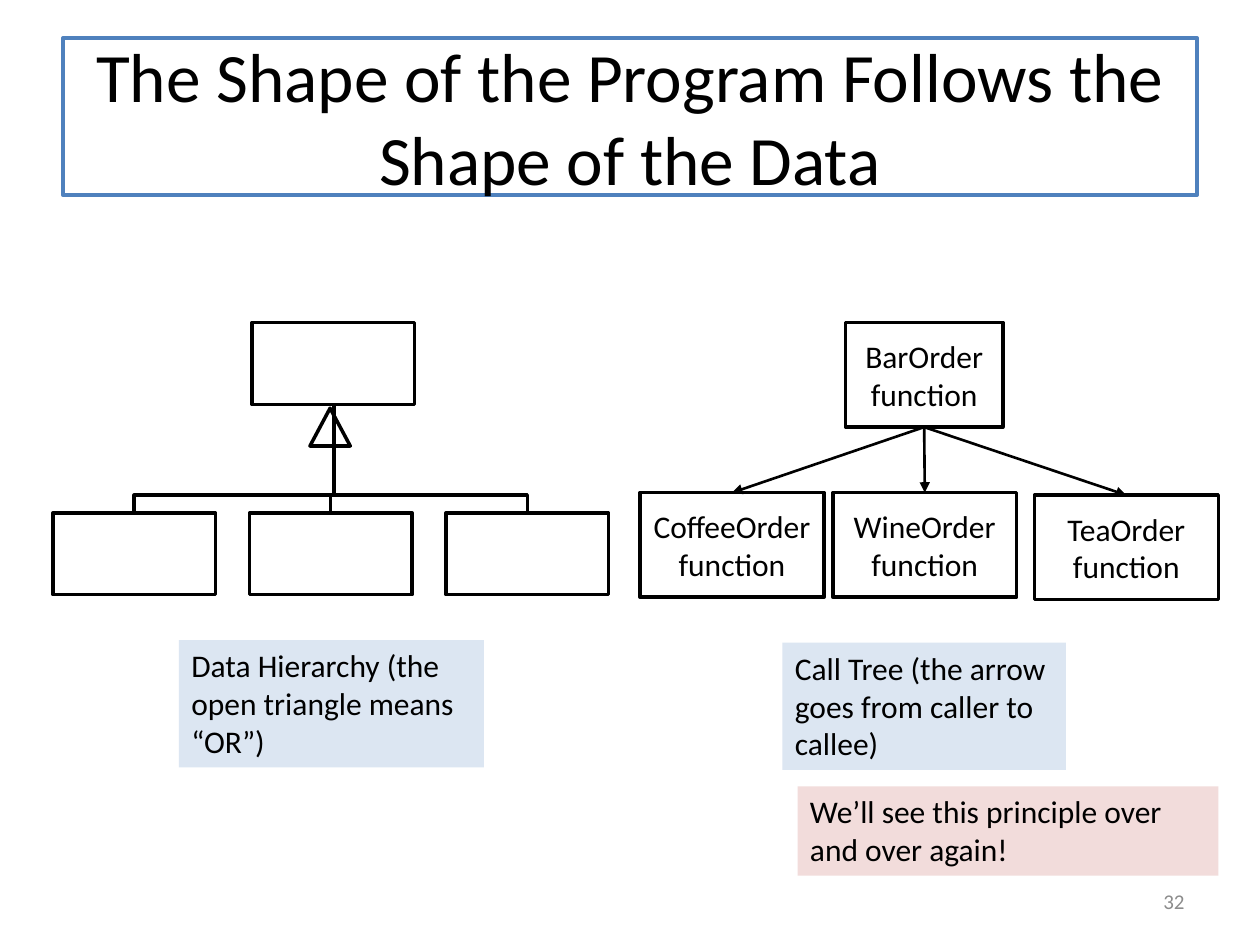
import pptx
import pptx.util
import pptx.dml.color
import pptx.enum.shapes
import pptx.enum.text
import pptx.oxml
import pptx.oxml.ns
from pptx.util import Inches

COLORS = {"ink": "000000", "paper": "FFFFFF", "title_line": "4F81BD",
          "note": "DCE6F2", "principle": "F2DCDB", "number": "8C8C8C"}
SHAPE = pptx.enum.shapes.MSO_SHAPE
ALIGN = pptx.enum.text.PP_ALIGN
ANCHOR = pptx.enum.text.MSO_ANCHOR


def rgb(name):
    return pptx.dml.color.RGBColor.from_string(COLORS[name])


def set_text(shape, text, size, align, anchor, color="ink"):
    frame = shape.text_frame
    frame.word_wrap = True
    frame.vertical_anchor = anchor
    frame.text = text
    paragraph = frame.paragraphs[0]
    paragraph.alignment = align
    font = paragraph.runs[0].font
    font.name = "Calibri"
    font.size = pptx.util.Pt(size)
    font.color.rgb = rgb(color)


def style(shape, fill=None, line=None):
    shape.shadow.inherit = False
    if fill:
        shape.fill.solid()
        shape.fill.fore_color.rgb = rgb(fill)
    else:
        shape.fill.background()
    if line:
        shape.line.color.rgb = rgb(line)
        shape.line.width = pptx.util.Pt(2)
    else:
        shape.line.fill.background()


def add_box(slide, left, top, width, height, fill="paper", line="ink",
            kind=SHAPE.RECTANGLE):
    box = slide.shapes.add_shape(kind, Inches(left), Inches(top),
                                 Inches(width), Inches(height))
    style(box, fill, line)
    return box


def add_function(slide, name, left, top, width):
    box = add_box(slide, left, top, width, 0.83)
    set_text(box, f"{name} function", 18, ALIGN.CENTER, ANCHOR.MIDDLE)
    return box


def add_note(slide, text, left, top, width, height, fill):
    note = add_box(slide, left, top, width, height, fill, None)
    set_text(note, text, 18, ALIGN.LEFT, ANCHOR.TOP)


def add_branch(slide, points):
    (start_x, start_y), *rest = [(Inches(x), Inches(y)) for x, y in points]
    builder = slide.shapes.build_freeform(start_x, start_y)
    builder.add_line_segments(rest, close=False)
    style(builder.convert_to_shape(), line="ink")


def add_call(slide, caller, callee):
    arrow = slide.shapes.add_connector(
        pptx.enum.shapes.MSO_CONNECTOR.STRAIGHT, 0, 0, 0, 0)
    arrow.begin_connect(caller, 2)
    arrow.end_connect(callee, 0)
    arrow.line.color.rgb = rgb("ink")
    arrow.line.width = pptx.util.Pt(1.5)
    line = arrow.line._get_or_add_ln()
    head = pptx.oxml.parse_xml(
        f'<a:tailEnd {pptx.oxml.ns.nsdecls("a")} type="triangle"/>')
    line.append(head)
    line.addnext(pptx.oxml.parse_xml(
        f'<a:effectLst {pptx.oxml.ns.nsdecls("a")}/>'))


def add_data_hierarchy(slide):
    width, height = 1.29, 0.65
    parent_left, parent_top = 2.0, 2.56
    child_lefts, child_top = (0.42, 1.98, 3.54), 4.07
    stem_x, stem_top, fork_y = 2.65, parent_top + height, 3.93
    for left in child_lefts:
        child_x = left + width / 2
        add_branch(slide, [(stem_x, stem_top), (stem_x, fork_y),
                           (child_x, fork_y), (child_x, child_top)])
    add_box(slide, parent_left, parent_top, width, height)
    for left in child_lefts:
        add_box(slide, left, child_top, width, height)
    # Open triangle meaning "OR"
    add_box(slide, 2.46, 3.24, 0.32, 0.3, fill=None,
            kind=SHAPE.ISOSCELES_TRIANGLE)


def add_call_tree(slide):
    caller = add_function(slide, "BarOrder", 6.71, 2.56, 1.25)
    for name, left, top in (("CoffeeOrder", 5.08, 3.91),
                            ("WineOrder", 6.61, 3.91),
                            ("TeaOrder", 8.21, 3.93)):
        callee = add_function(slide, name, left, top, 1.46)
        add_call(slide, caller, callee)


def main():
    deck = pptx.Presentation()
    deck.slide_width, deck.slide_height = Inches(10), Inches(7.5)
    slide = deck.slides.add_slide(deck.slide_layouts[6])

    # Title
    title = add_box(slide, 0.5, 0.3, 9, 1.25, None, "title_line")
    set_text(title, "The Shape of the Program Follows the Shape of the Data",
             39.6, ALIGN.CENTER, ANCHOR.MIDDLE)

    # Diagrams
    add_data_hierarchy(slide)
    add_call_tree(slide)

    # Explanations
    add_note(slide, "Data Hierarchy (the open triangle means “OR”)",
             1.42, 5.08, 2.42, 1.01, "note")
    add_note(slide, "Call Tree (the arrow goes from caller to callee)",
             6.21, 5.1, 2.25, 1.01, "note")
    add_note(slide, "We’ll see this principle over and over again!",
             6.33, 6.24, 3.34, 0.71, "principle")

    # Slide number
    number = slide.shapes.add_textbox(Inches(7.17), Inches(6.95),
                                      Inches(2.33), Inches(0.4))
    set_text(number, "32", 12, ALIGN.RIGHT, ANCHOR.MIDDLE, "number")

    deck.save("out.pptx")


if __name__ == "__main__":
    main()
